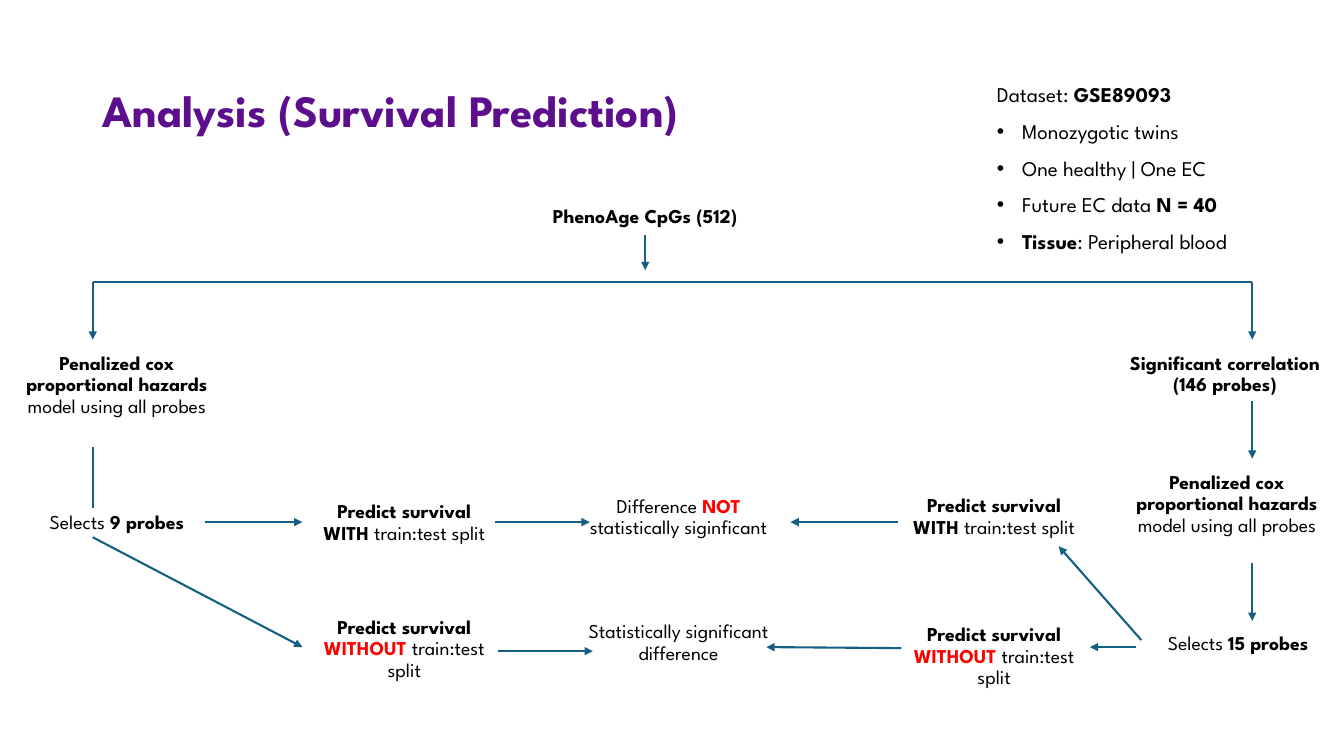
from lxml import etree
from pptx import Presentation, util as u
from pptx.dml.color import RGBColor
from pptx.enum import shapes, text
from pptx.oxml.ns import qn

WIDTH, HEIGHT = 13.33, 7.5
FONT = "League Spartan"
BLACK, RED, PURPLE, TEAL = "000000", "FF0000", "5C0E8C", "156082"
PLAIN = {"bold": False, "color": BLACK}
BOLD = {"bold": True, "color": BLACK}
ALERT = {"bold": True, "color": RED}

# Content: every paragraph is a list of (words, style) runs
TITLE = [("Analysis (Survival Prediction)", {"bold": True, "color": PURPLE})]
DATASET = [
    [("Dataset: ", PLAIN), ("GSE89093", BOLD)],
    [("Monozygotic twins", PLAIN)],
    [("One healthy | One EC", PLAIN)],
    [("Future EC data ", PLAIN), ("N = 40", BOLD)],
    [("Tissue", BOLD), (": Peripheral blood", PLAIN)],
]
COX = [("Penalized cox proportional hazards ", BOLD), ("model using all probes", PLAIN)]
WITH = [("Predict survival WITH ", BOLD), ("train:test split", PLAIN)]
WITHOUT = [("Predict survival ", BOLD), ("WITHOUT ", ALERT), ("train:test split", PLAIN)]
SAME = [("Difference ", PLAIN), ("NOT", ALERT), (" statistically siginficant", PLAIN)]
DIFFERENT = [("Statistically significant difference", PLAIN)]

# Grid: column centres of the texts, the two vertical arrow lanes, the rows
COLUMN = {"left": 1.16, "predict left": 4.01, "outcome": 6.73,
          "predict right": 9.86, "right": 12.17}
ROOT_X, LEFT_X, RIGHT_X = 6.4, 0.92, 12.42
BRANCH_Y, METHOD_Y, WITH_Y, WITHOUT_Y = 2.8, 3.46, 5.18, 6.42
STEP, BOX_H = 0.57, 0.68
SIDE_W, MIDDLE_W = 2.1, 2.02

# (runs, centre x, top, width)
NODES = [
    ([("PhenoAge CpGs (512)", BOLD)], ROOT_X, 2, 2.67),
    (COX, COLUMN["left"], METHOD_Y, SIDE_W),
    ([("Selects ", PLAIN), ("9 probes", BOLD)], COLUMN["left"], 5.04, SIDE_W),
    ([("Significant correlation (146 probes)", BOLD)], 12.15, METHOD_Y, 2.3),
    (COX, COLUMN["right"], 4.64, SIDE_W),
    ([("Selects ", PLAIN), ("15 probes", BOLD)], 12.28, 6.24, SIDE_W),
    (WITH, COLUMN["predict left"], 4.93, MIDDLE_W),
    (WITHOUT, COLUMN["predict left"], 6.08, MIDDLE_W),
    (SAME, COLUMN["outcome"], 4.88, MIDDLE_W),
    (DIFFERENT, COLUMN["outcome"], 6.12, MIDDLE_W),
    (WITH, COLUMN["predict right"], 4.87, MIDDLE_W),
    (WITHOUT, COLUMN["predict right"], 6.15, MIDDLE_W),
]
PLAIN_LINES = [
    (RIGHT_X, BRANCH_Y, LEFT_X, BRANCH_Y),
    (LEFT_X, 5.04, LEFT_X, 4.43),
]
ARROWS = [(ROOT_X, 2.33, ROOT_X, 2.68), (LEFT_X, BRANCH_Y, LEFT_X, BRANCH_Y + STEP)]
ARROWS += [(RIGHT_X, y, RIGHT_X, y + STEP) for y in (BRANCH_Y, 3.98, 5.59)]
ARROWS += [(x1, WITH_Y, x2, WITH_Y) for x1, x2 in ((2.03, 3), (4.91, 5.85), (8.91, 7.84))]
ARROWS += [
    (LEFT_X, 5.33, 3, WITHOUT_Y),
    (4.94, 6.46, 5.88, 6.46),
    (8.94, 6.43, 7.6, WITHOUT_Y),
    (11.27, WITHOUT_Y, 10.81, WITHOUT_Y),
    (11.32, 6.35, 10.5, 5.42),
]


def rgb(value):
    return RGBColor.from_string(value)


def add_bullet(paragraph):
    props = paragraph._p.get_or_add_pPr()
    props.set("marL", str(u.Inches(0.25)))
    props.set("indent", str(u.Inches(-0.25)))
    etree.SubElement(props, qn("a:buFont"), typeface="Arial")
    etree.SubElement(props, qn("a:buChar"), char="•")


def add_text(slide, paragraphs, box, size, align, anchor=text.MSO_ANCHOR.TOP):
    """Write paragraphs of styled runs; all after the first are bulleted."""
    frame = slide.shapes.add_textbox(*map(u.Inches, box)).text_frame
    frame.word_wrap = True
    frame.vertical_anchor = anchor
    for index, runs in enumerate(paragraphs):
        paragraph = frame.add_paragraph() if index else frame.paragraphs[0]
        if index:
            add_bullet(paragraph)
            paragraph.space_before = u.Pt(10)
        paragraph.alignment = align
        paragraph.line_spacing = 0.9
        for words, style in runs:
            run = paragraph.add_run()
            run.text = words
            look = {"name": FONT, "size": u.Pt(size), "bold": style["bold"]}
            for key, value in look.items():
                setattr(run.font, key, value)
            run.font.color.rgb = rgb(style["color"])


def add_line(slide, ends, arrow):
    line = slide.shapes.add_connector(shapes.MSO_CONNECTOR.STRAIGHT, *map(u.Inches, ends))
    line.line.color.rgb = rgb(TEAL)
    line.line.width = u.Pt(1.5)
    if arrow:
        etree.SubElement(line.line._get_or_add_ln(), qn("a:tailEnd"), type="triangle")
    etree.SubElement(line._element.spPr, qn("a:effectLst"))


def main():
    deck = Presentation()
    deck.slide_width, deck.slide_height = u.Inches(WIDTH), u.Inches(HEIGHT)
    slide = deck.slides.add_slide(deck.slide_layouts[6])
    left, center = text.PP_ALIGN.LEFT, text.PP_ALIGN.CENTER
    add_text(slide, [TITLE], (0.92, 0.4, 11.5, 1.45), 32, left, text.MSO_ANCHOR.MIDDLE)
    for ends in PLAIN_LINES:
        add_line(slide, ends, False)
    for ends in ARROWS:
        add_line(slide, ends, True)
    for runs, middle, top, width in NODES:
        add_text(slide, [runs], (middle - width / 2, top, width, BOX_H), 14, center)
    add_text(slide, DATASET, (9.79, 0.79, 3.5, 1.55), 15, left)
    deck.save("out.pptx")


if __name__ == "__main__":
    main()
